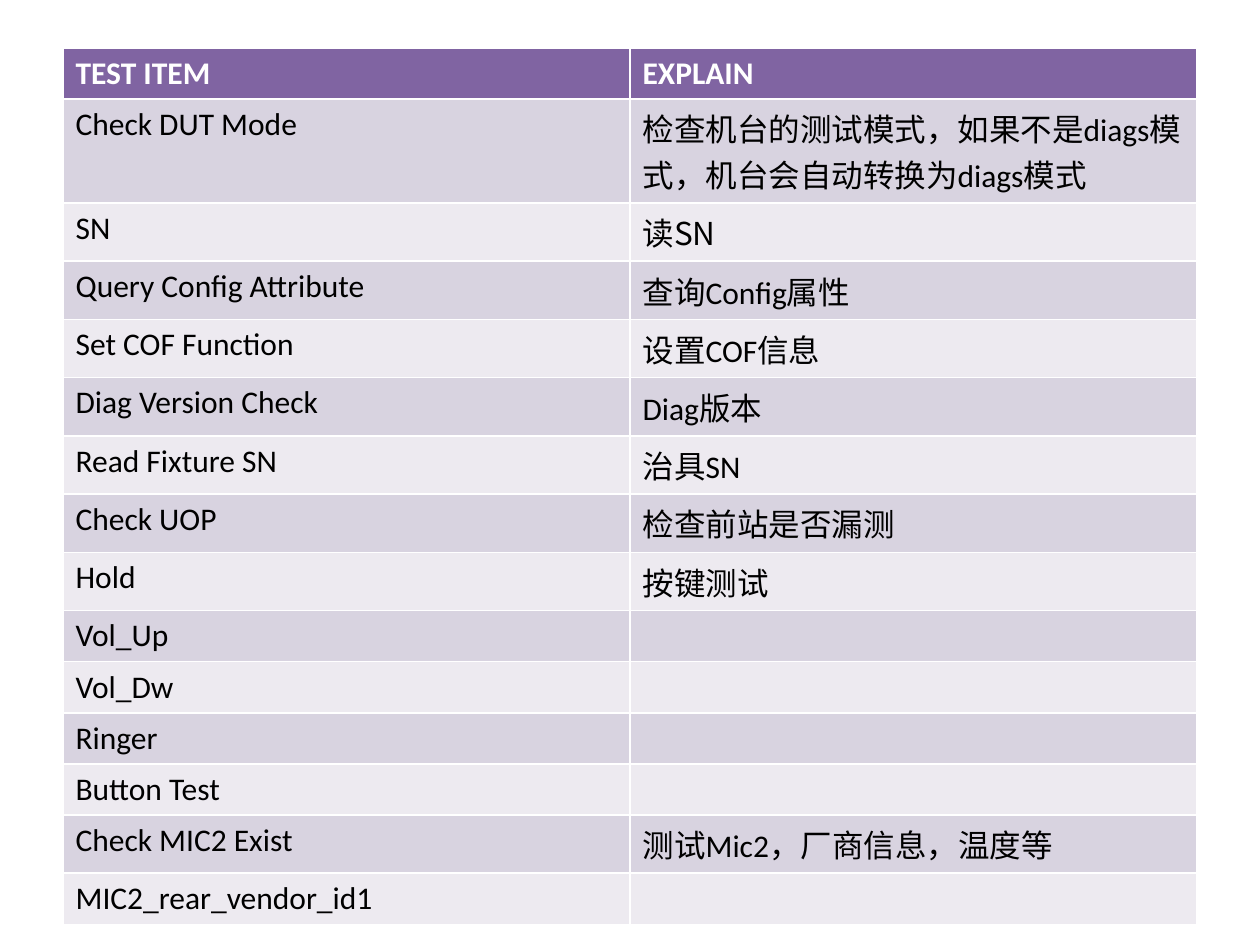
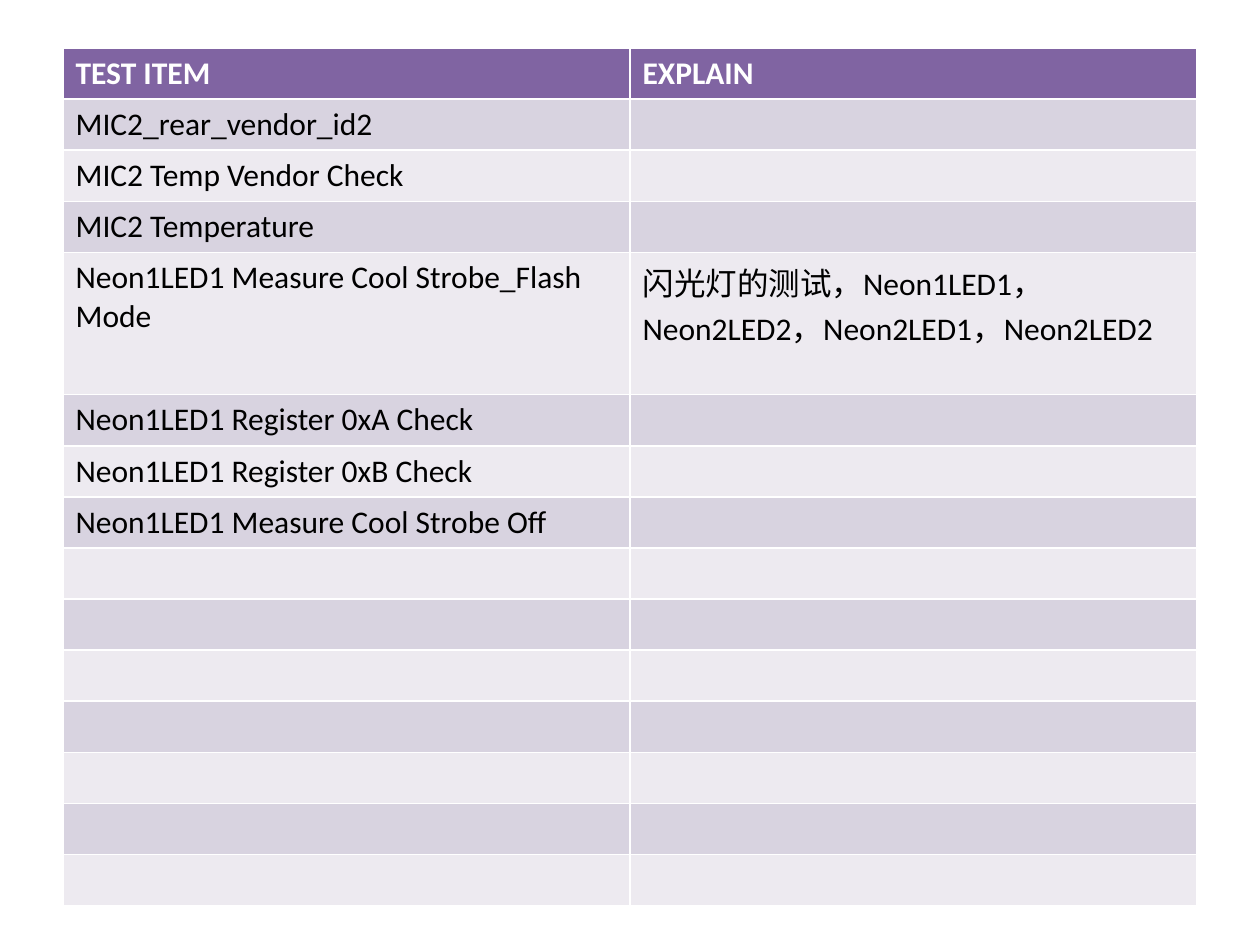
import pptx
import pptx.util
import pptx.dml.color
import pptx.oxml.ns
import lxml.etree

HEADINGS = ("TEST ITEM", "EXPLAIN")
TEST_PAGES = [
    [
        ("Check DUT Mode", "检查机台的测试模式，如果不是diags模式，机台会自动转换为diags模式"),
        ("SN", "读SN"),
        ("Query Config Attribute", "查询Config属性"),
        ("Set COF Function", "设置COF信息"),
        ("Diag Version Check", "Diag版本"),
        ("Read Fixture SN", "治具SN"),
        ("Check UOP", "检查前站是否漏测"),
        ("Hold", "按键测试"),
        ("Vol_Up", ""),
        ("Vol_Dw", ""),
        ("Ringer", ""),
        ("Button Test", ""),
        ("Check MIC2 Exist", "测试Mic2，厂商信息，温度等"),
        ("MIC2_rear_vendor_id1", ""),
    ],
    [
        ("MIC2_rear_vendor_id2", ""),
        ("MIC2 Temp Vendor Check", ""),
        ("MIC2 Temperature", ""),
        ("Neon1LED1 Measure Cool Strobe_Flash Mode",
         "闪光灯的测试，Neon1LED1，Neon2LED2，Neon2LED1，Neon2LED2"),
        ("Neon1LED1 Register 0xA Check", ""),
        ("Neon1LED1 Register 0xB Check", ""),
        ("Neon1LED1 Measure Cool Strobe Off", ""),
    ],
]
ROWS_PER_PAGE = 14
TALL_ITEMS = {"Check DUT Mode": 79}
CJK_FONT_TEXTS = {"读SN"}

COLORS = {
    "header": "8064A2",
    "odd": "D8D3E0",
    "even": "EDEAF0",
    "header_text": "FFFFFF",
    "body_text": "000000",
}
LATIN_FONT = "Calibri"
CJK_FONT = "Noto Sans CJK TC"
TEXT_SIZE = 18

PX_PER_INCH = 126
SLIDE_W, SLIDE_H = 1260, 945
TABLE_LEFT, TABLE_TOP = 63, 48
COLUMN_W, ROW_H = 567, 51


def px(length):
    return pptx.util.Emu(round(length * 914400 / PX_PER_INCH))


def rgb(name):
    return pptx.dml.color.RGBColor.from_string(COLORS[name])


def fill_cell(cell, text, band, text_color, bold):
    cell.fill.solid()
    cell.fill.fore_color.rgb = rgb(band)
    cell.text_frame.text = text
    for run in cell.text_frame.paragraphs[0].runs:
        run.font.size = pptx.util.Pt(TEXT_SIZE)
        run.font.name = CJK_FONT if text in CJK_FONT_TEXTS else LATIN_FONT
        run.font.bold = bold
        run.font.color.rgb = rgb(text_color)
        properties = run.font._element
        properties.set("lang", "zh-CN")
        east_asian = lxml.etree.SubElement(properties, pptx.oxml.ns.qn("a:ea"))
        east_asian.set("typeface", CJK_FONT)


def add_test_table(slide, tests):
    blanks = [("", "")] * (ROWS_PER_PAGE - len(tests))
    lines = [HEADINGS] + tests + blanks
    table = slide.shapes.add_table(
        len(lines), len(HEADINGS), px(TABLE_LEFT), px(TABLE_TOP),
        px(COLUMN_W * len(HEADINGS)), px(ROW_H * len(lines))).table
    for column in table.columns:
        column.width = px(COLUMN_W)
    for index, line in enumerate(lines):
        table.rows[index].height = px(TALL_ITEMS.get(line[0], ROW_H))
        is_header = index == 0
        band = "header" if is_header else "odd" if index % 2 else "even"
        text_color = "header_text" if is_header else "body_text"
        for column, text in enumerate(line):
            fill_cell(table.cell(index, column), text, band, text_color, is_header)


def main():
    deck = pptx.Presentation()
    deck.slide_width, deck.slide_height = px(SLIDE_W), px(SLIDE_H)
    for tests in TEST_PAGES:
        add_test_table(deck.slides.add_slide(deck.slide_layouts[6]), tests)
    deck.save("out.pptx")


if __name__ == "__main__":
    main()
